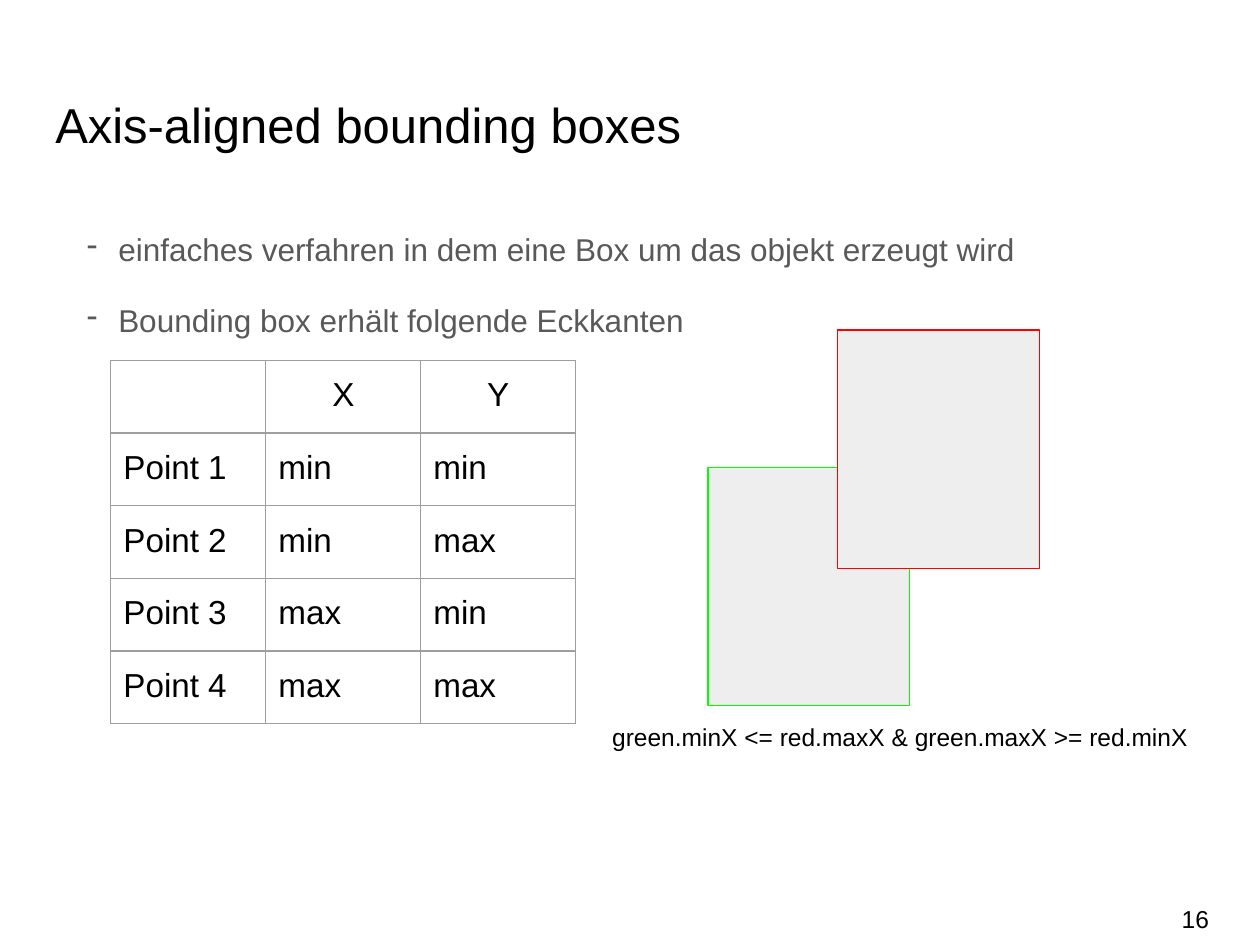
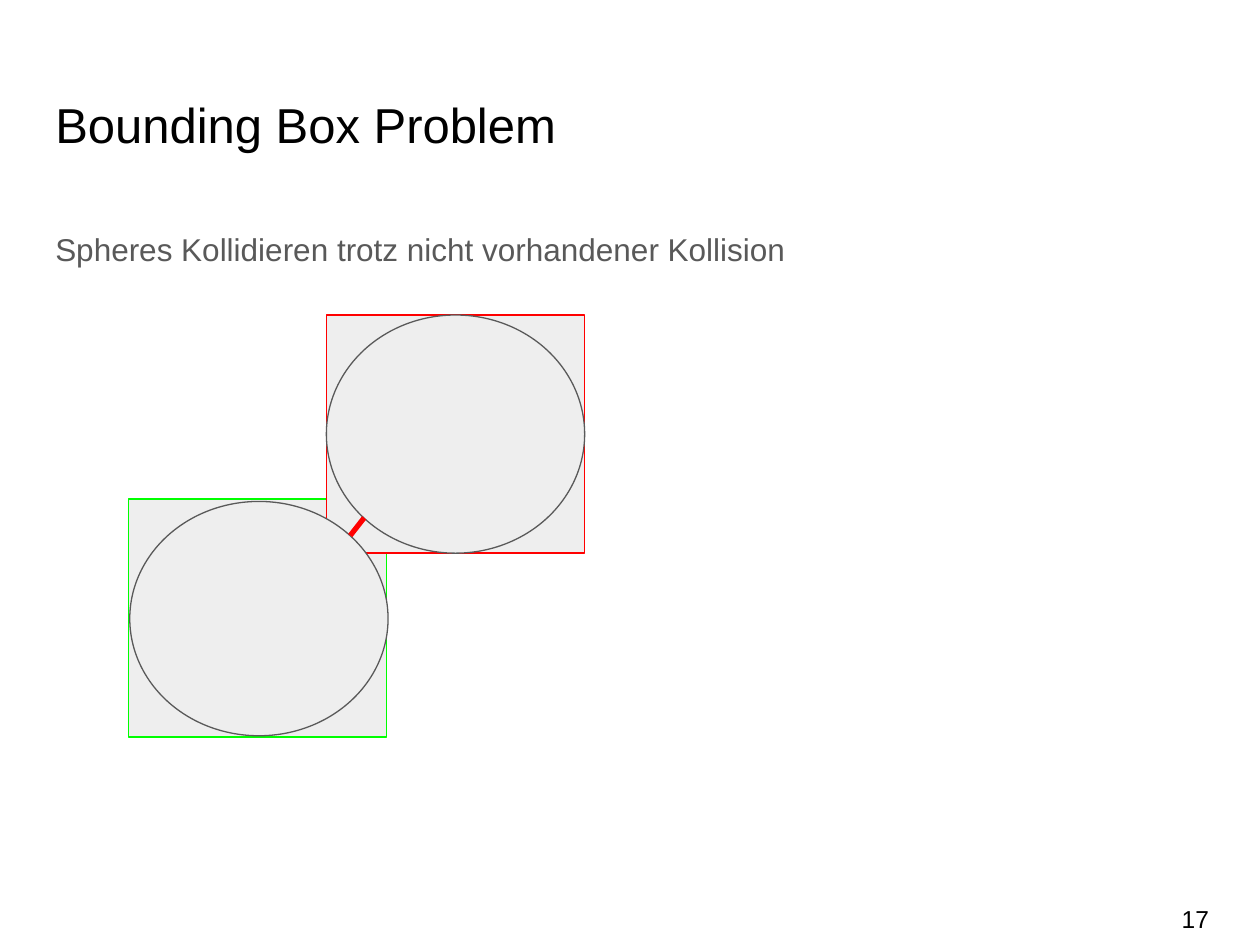
from typing import NamedTuple

from lxml import etree
from pptx import Presentation
from pptx.dml.color import RGBColor
from pptx.enum.shapes import MSO_CONNECTOR, MSO_SHAPE
from pptx.enum.text import MSO_ANCHOR, PP_ALIGN
from pptx.oxml.ns import qn
from pptx.slide import Slide
from pptx.util import Pt

RECT, ELLIPSE = MSO_SHAPE.RECTANGLE, MSO_SHAPE.OVAL
STRAIGHT = MSO_CONNECTOR.STRAIGHT
TOP, MIDDLE = MSO_ANCHOR.TOP, MSO_ANCHOR.MIDDLE
LEFT, CENTER = PP_ALIGN.LEFT, PP_ALIGN.CENTER

PX = 9144  # EMU in one px, 100 px to the inch
FONT = "Arial"
BLACK, GREY, LIGHT, BORDER = "000000", "595959", "EEEEEE", "9E9E9E"
RED, GREEN = "FF0000", "00FF00"
INSET = 10


class Box(NamedTuple):
    left: int
    top: int
    width: int
    height: int


class TextStyle(NamedTuple):
    size: int
    color: str = BLACK
    anchor: MSO_ANCHOR = TOP
    line_spacing: float = 1.0
    space_after: int = 0
    bullet: str = ""


class Figure(NamedTuple):
    kind: MSO_SHAPE
    box: Box
    outline: str


TITLE = TextStyle(28)
BODY = TextStyle(18, GREY, line_spacing=1.15, space_after=16)
DASHED = BODY._replace(bullet="-")
NOTE = TextStyle(14)
PAGE_NUMBER = NOTE._replace(anchor=MIDDLE)
CELL = TextStyle(19)

TITLE_BOX = Box(34, 65, 932, 83)
BODY_BOX = Box(34, 168, 932, 118)
PAGE_BOX = Box(928, 713, 62, 33)

# Corner table
CORNERS = [
    ["", "X", "Y"],
    ["Point 1", "min", "min"],
    ["Point 2", "min", "max"],
    ["Point 3", "max", "min"],
    ["Point 4", "max", "max"],
]
COLUMN_WIDTH, ROW_HEIGHT = 123, 56

# Overlapping boxes and the spheres inside them
OVERLAP = [
    Figure(RECT, Box(562, 371, 160, 189), GREEN),
    Figure(RECT, Box(665, 262, 160, 189), RED),
]
UPPER_BOX = Box(259, 250, 205, 189)
SPHERES = [
    Figure(RECT, Box(102, 396, 205, 189), GREEN),
    Figure(RECT, UPPER_BOX, RED),
    Figure(ELLIPSE, UPPER_BOX, GREY),
    Figure(ELLIPSE, Box(103, 398, 205, 186), GREY),
]


def rgb(color: str) -> RGBColor:
    return RGBColor.from_string(color)


def emu(*lengths: int) -> list[int]:
    return [length * PX for length in lengths]


def set_all(target, values: dict) -> None:
    for name, value in values.items():
        setattr(target, name, value)


def write(paragraph, text: str, style: TextStyle, align: PP_ALIGN = LEFT) -> None:
    set_all(paragraph, {
        "alignment": align,
        "line_spacing": style.line_spacing,
        "space_after": Pt(style.space_after),
    })
    if style.bullet:
        properties = paragraph._p.get_or_add_pPr()
        properties.set("marL", str(50 * PX))
        properties.set("indent", str(-25 * PX))
        bullet_color = etree.SubElement(properties, qn("a:buClr"))
        etree.SubElement(bullet_color, qn("a:srgbClr"), val=style.color)
        etree.SubElement(properties, qn("a:buChar"), char=style.bullet)
    run = paragraph.add_run()
    run.text = text
    set_all(run.font, {"name": FONT, "size": Pt(style.size)})
    run.font.color.rgb = rgb(style.color)


def add_text(slide: Slide, box: Box, lines: list[str], style: TextStyle) -> None:
    frame = slide.shapes.add_textbox(*emu(*box)).text_frame
    inset = INSET * PX
    set_all(frame, {
        "word_wrap": True, "vertical_anchor": style.anchor,
        "margin_left": inset, "margin_top": inset,
        "margin_right": inset, "margin_bottom": inset,
    })
    for index, line in enumerate(lines):
        paragraph = frame.add_paragraph() if index else frame.paragraphs[0]
        write(paragraph, line, style)


def add_figure(slide: Slide, figure: Figure) -> None:
    shape = slide.shapes.add_shape(figure.kind, *emu(*figure.box))
    shape.shadow.inherit = False
    shape.fill.solid()
    shape.fill.fore_color.rgb = rgb(LIGHT)
    shape.line.color.rgb = rgb(figure.outline)
    shape.line.width = Pt(0.75)


def add_gap_line(slide: Slide, start: tuple[int, int], end: tuple[int, int]) -> None:
    gap = slide.shapes.add_connector(STRAIGHT, *emu(*start, *end))
    gap.line.color.rgb = rgb(RED)
    gap.line.width = Pt(3)
    etree.SubElement(gap._element.spPr, qn("a:effectLst"))


def add_borders(cell) -> None:
    properties = cell._tc.get_or_add_tcPr()
    for side in ("a:lnL", "a:lnR", "a:lnT", "a:lnB"):
        edge = etree.SubElement(properties, qn(side), w=str(Pt(0.75)))
        fill = etree.SubElement(edge, qn("a:solidFill"))
        etree.SubElement(fill, qn("a:srgbClr"), val=BORDER)


def add_corner_table(slide: Slide, left: int, top: int) -> None:
    rows, columns = len(CORNERS), len(CORNERS[0])
    size = (columns * COLUMN_WIDTH, rows * ROW_HEIGHT)
    table = slide.shapes.add_table(rows, columns, *emu(left, top, *size)).table
    set_all(table, {"first_row": False, "horz_banding": False})
    for row, texts in enumerate(CORNERS):
        for column, text in enumerate(texts):
            cell = table.cell(row, column)
            set_all(cell, {
                "margin_left": INSET * PX, "margin_right": INSET * PX,
                "margin_top": 13 * PX, "margin_bottom": 13 * PX,
            })
            add_borders(cell)
            cell.fill.background()
            if text:
                align = LEFT if row else CENTER
                write(cell.text_frame.paragraphs[0], text, CELL, align)


def add_page(deck, title: str, number: int) -> Slide:
    slide = deck.slides.add_slide(deck.slide_layouts[6])
    add_text(slide, TITLE_BOX, [title], TITLE)
    add_text(slide, PAGE_BOX, [str(number)], PAGE_NUMBER)
    return slide


def main() -> None:
    deck = Presentation()
    deck.slide_width, deck.slide_height = emu(1000, 750)

    # Axis-aligned bounding boxes
    boxes = add_page(deck, "Axis-aligned bounding boxes", 16)
    add_text(boxes, BODY_BOX, [
        "einfaches verfahren in dem eine Box um das objekt erzeugt wird",
        "Bounding box erhält folgende Eckkanten",
    ], DASHED)
    add_corner_table(boxes, 88, 286)
    for figure in OVERLAP:
        add_figure(boxes, figure)
    condition = "green.minX <= red.maxX & green.maxX >= red.minX"
    add_text(boxes, Box(476, 563, 478, 52), [condition], NOTE)

    # Spheres that do not touch
    problem = add_page(deck, "Bounding Box Problem", 17)
    add_text(problem, BODY_BOX._replace(height=498),
             ["Spheres Kollidieren trotz nicht vorhandener Kollision"], BODY)
    for figure in SPHERES:
        add_figure(problem, figure)
    add_gap_line(problem, (278, 425), (289, 411))

    deck.save("out.pptx")


if __name__ == "__main__":
    main()
